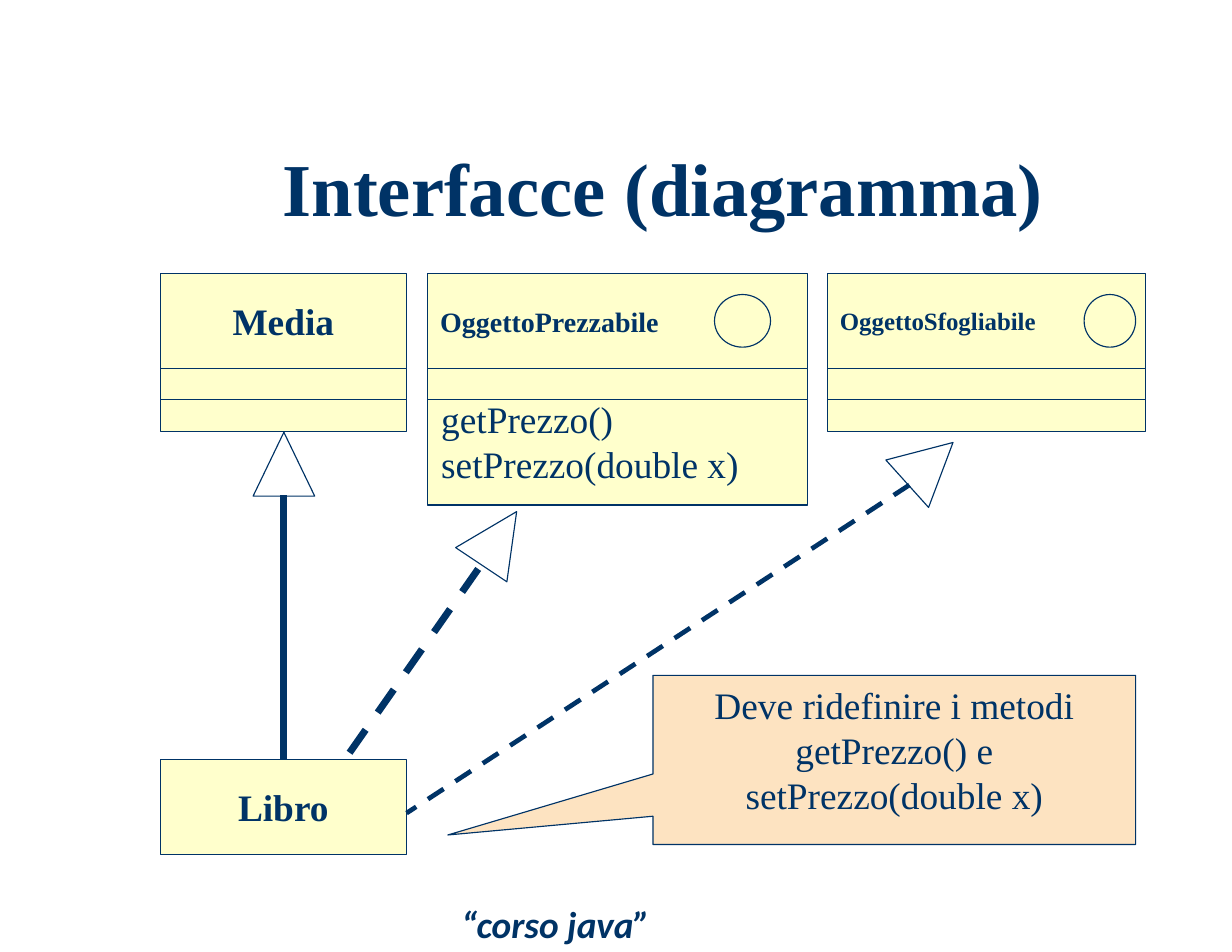
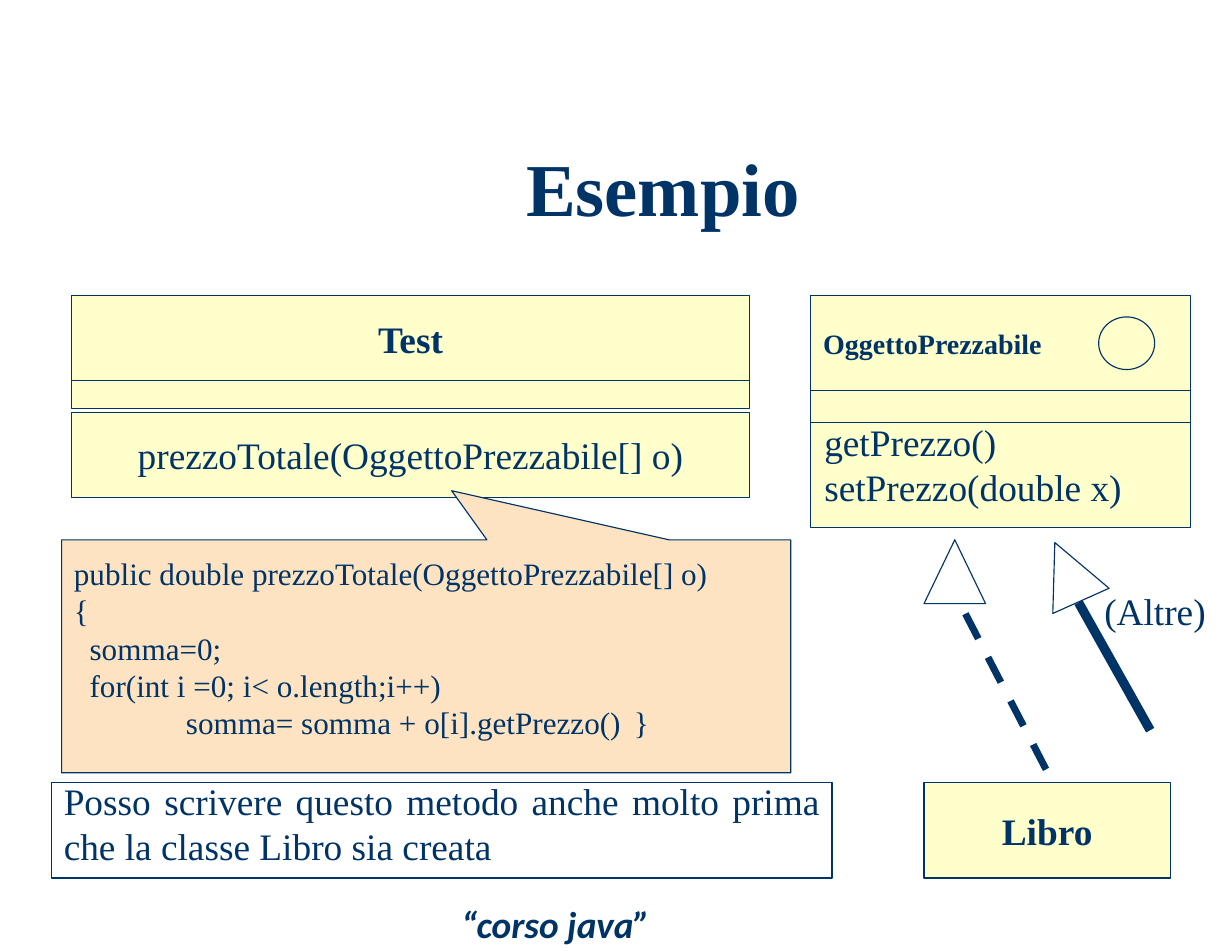
"""Build two slides on Java interfaces: a class diagram and a usage example."""
from dataclasses import dataclass

from pptx import Presentation
from pptx.dml.color import RGBColor
from pptx.enum.dml import MSO_LINE
from pptx.enum.shapes import MSO_CONNECTOR, MSO_SHAPE
from pptx.enum.text import MSO_ANCHOR, PP_ALIGN
from pptx.oxml.ns import qn
from pptx.util import Inches, Pt
from lxml import etree

RECTANGLE, TRIANGLE, ELLIPSE = MSO_SHAPE.RECTANGLE, MSO_SHAPE.ISOSCELES_TRIANGLE, MSO_SHAPE.OVAL
CALLOUT = MSO_SHAPE.RECTANGULAR_CALLOUT
LEFT, CENTER, JUSTIFY = PP_ALIGN.LEFT, PP_ALIGN.CENTER, PP_ALIGN.JUSTIFY
TOP, MIDDLE = MSO_ANCHOR.TOP, MSO_ANCHOR.MIDDLE
STRAIGHT, DASH = MSO_CONNECTOR.STRAIGHT, MSO_LINE.DASH


@dataclass(frozen=True)
class Theme:
    """Colours, fonts and type sizes."""
    ink: RGBColor = RGBColor.from_string("003366")
    paper: RGBColor = RGBColor.from_string("FFFFFF")
    class_fill: RGBColor = RGBColor.from_string("FFFFCC")
    note_fill: RGBColor = RGBColor.from_string("FDE3C1")
    font: str = "Times New Roman"
    footer_font: str = "Calibri"
    title: int = 48
    body: int = 24
    code: int = 20
    interface: int = 18
    small_interface: int = 16
    outline: float = 0.75


theme = Theme()


def write(shape, lines, size=theme.body, bold=False, align=LEFT, anchor=TOP, font=theme.font):
    frame = shape.text_frame
    frame.word_wrap = True
    frame.vertical_anchor = anchor
    frame.margin_left = frame.margin_right = Inches(0.11)
    frame.margin_top = frame.margin_bottom = Inches(0.06)
    frame.text = "\n".join(lines)
    for para in frame.paragraphs:
        para.alignment = align
        para.font.name = font
        para.font.size = Pt(size)
        para.font.bold = bold
        para.font.color.rgb = theme.ink
    return frame.paragraphs


def add_box(page, kind, at, fill=theme.class_fill):
    box = page.shapes.add_shape(kind, *map(Inches, at))
    box.shadow.inherit = False
    box.fill.solid()
    box.fill.fore_color.rgb = fill
    box.line.color.rgb = theme.ink
    box.line.width = Pt(theme.outline)
    return box


deck = Presentation()
deck.slide_width, deck.slide_height = Inches(11), Inches(8.5)

pages = []
for heading in ("Interfacce (diagramma)", "Esempio"):
    page = deck.slides.add_slide(deck.slide_layouts[5])
    title = page.shapes.title
    title.left, title.top, title.width, title.height = map(Inches, (1.48, 1.02, 8.88, 1.42))
    write(title, [heading], theme.title, True, CENTER, MIDDLE)[0].line_spacing = 0.85
    footer = page.shapes.add_textbox(*map(Inches, (4.01, 7.99, 2, 0.5)))
    write(footer, ["“corso java”"], bold=True, font=theme.footer_font)[0].font.italic = True
    pages.append(page)
diagram, example = pages

classes = [
    (diagram, "Media", theme.body, CENTER, 1.43, 2.44, 2.2, (0.85, 0.28, 0.28)),
    (diagram, "Libro", theme.body, CENTER, 1.43, 6.78, 2.2, (0.85,)),
    (diagram, "OggettoPrezzabile", theme.interface, LEFT, 3.82, 2.44, 3.39, (0.85, 0.28, 0.94)),
    (diagram, "OggettoSfogliabile", theme.small_interface, LEFT, 7.39, 2.44, 2.84,
     (0.85, 0.28, 0.28)),
    (example, "Test", theme.body, CENTER, 0.64, 2.64, 6.05, (0.76, 0.25)),
    (example, "Libro", theme.body, CENTER, 8.25, 6.99, 2.2, (0.85,)),
    (example, "OggettoPrezzabile", theme.interface, LEFT, 7.24, 2.64, 3.39, (0.85, 0.28, 0.94)),
]
for page, name, size, align, left, top, width, heights in classes:
    for index, height in enumerate(heights):
        compartment = add_box(page, RECTANGLE, (left, top + sum(heights[:index]), width, height))
        if index == 0:
            write(compartment, [name], size, True, align, MIDDLE)

for page, left, top, width in ((diagram, 6.38, 2.63, 0.5), (diagram, 9.68, 2.63, 0.46),
                               (example, 9.81, 2.83, 0.5)):
    add_box(page, ELLIPSE, (left, top, width, 0.47))

for page, left, top in ((diagram, 3.83, 3.48), (example, 7.25, 3.68)):
    methods = page.shapes.add_textbox(*map(Inches, (left, top, 3.1, 0.91)))
    write(methods, ["getPrezzo()", "setPrezzo(double x)"])

arrowheads = [
    (diagram, (2.26, 3.86, 0.55, 0.57), 0),
    (diagram, (4.18, 4.52, 0.55, 0.57), 33.7),
    (diagram, (8.02, 3.86, 0.57, 0.55), 48),
    (example, (8.25, 4.82, 0.55, 0.57), 0),
    (example, (9.26, 4.82, 0.55, 0.57), 335.9),
]
for page, at, angle in arrowheads:
    add_box(page, TRIANGLE, at, theme.paper).rotation = angle

arrow_shafts = [
    (diagram, (2.53, 6.78, 2.53, 4.42), 4.5, None),
    (diagram, (4.27, 5.08, 3.08, 6.78), 4.5, DASH),
    (diagram, (8.12, 4.33, 3.63, 7.26), 3, DASH),
    (example, (8.62, 5.48, 9.35, 6.89), 4.5, DASH),
    (example, (9.63, 5.38, 10.27, 6.52), 6, None),
]
for page, ends, weight, dash in arrow_shafts:
    shaft = page.shapes.add_connector(STRAIGHT, *map(Inches, ends))
    shaft.line.color.rgb = theme.ink
    shaft.line.width = Pt(weight)
    shaft.line.dash_style = dash
    etree.SubElement(shaft._element.spPr, qn("a:effectLst"))

redefine_note = add_box(diagram, CALLOUT, (5.83, 6.03, 4.31, 1.51), theme.note_fill)
redefine_note.adjustments[0], redefine_note.adjustments[1] = -0.925, 0.444
write(redefine_note, ["Deve ridefinire i metodi getPrezzo() e setPrezzo(double x)"], align=CENTER)

total_method = add_box(example, RECTANGLE, (0.64, 3.68, 6.05, 0.76))
write(total_method, ["prezzoTotale(OggettoPrezzabile[] o)"], align=CENTER, anchor=MIDDLE)

code_note = add_box(example, CALLOUT, (0.55, 4.82, 6.51, 2.08), theme.note_fill)
code_note.adjustments[0], code_note.adjustments[1] = 0.035, -0.711
code = [
    ("public double prezzoTotale(OggettoPrezzabile[] o)", 0),
    ("{", 0),
    ("somma=0;", 0.14),
    ("for(int i =0; i< o.length;i++)", 0.14),
    ("somma= somma + o[i].getPrezzo()\t}", 1),
]
code_box = example.shapes.add_textbox(*map(Inches, (0.55, 4.89, 6.51, 1.77)))
code_paras = write(code_box, [line for line, indent in code], theme.code, align=JUSTIFY)
for para, (line, indent) in zip(code_paras, code):
    para._p.get_or_add_pPr().set("marL", str(Inches(indent)))

add_box(example, RECTANGLE, (0.46, 6.99, 6.97, 0.85), theme.paper)
remark = example.shapes.add_textbox(*map(Inches, (0.46, 6.89, 6.97, 0.91)))
write(remark, ["Posso scrivere questo metodo anche molto prima che la classe Libro sia creata"],
      align=JUSTIFY)
others = example.shapes.add_textbox(*map(Inches, (9.75, 5.19, 1.2, 0.51)))
write(others, ["(Altre)"])

deck.save("out.pptx")
